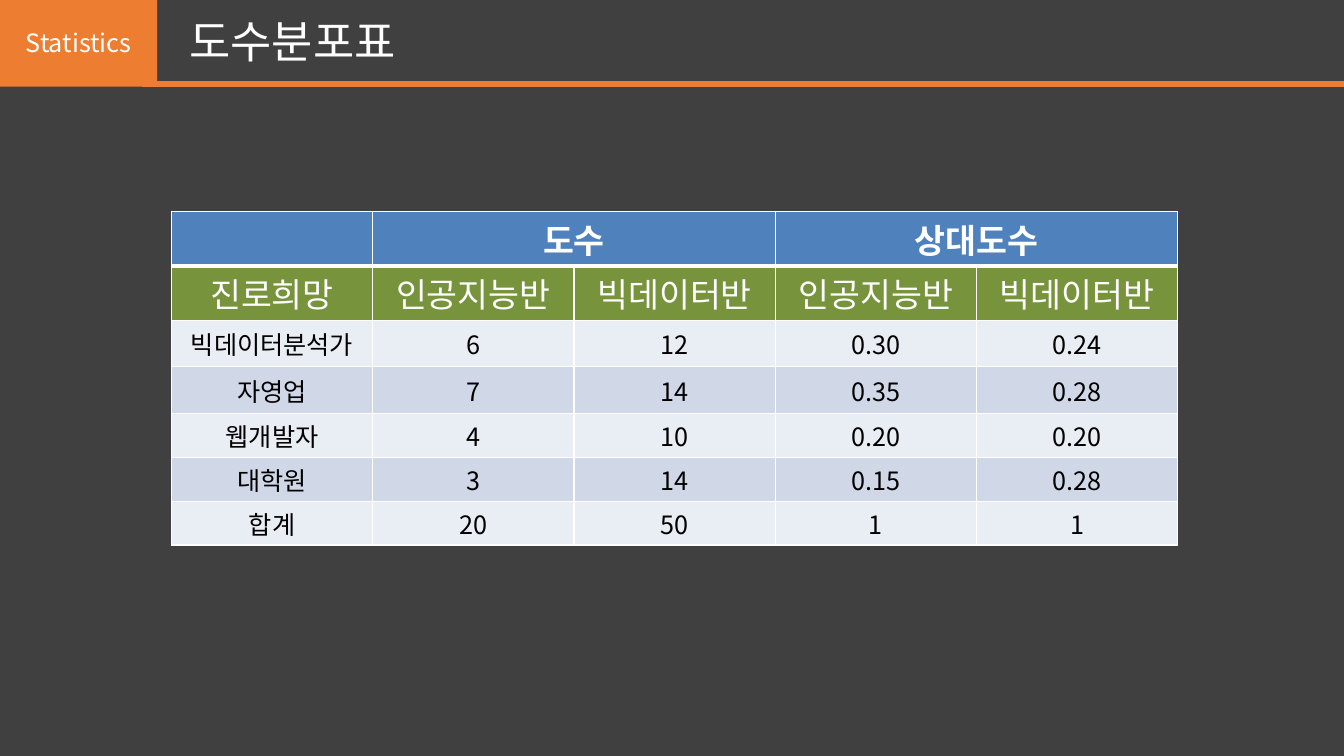
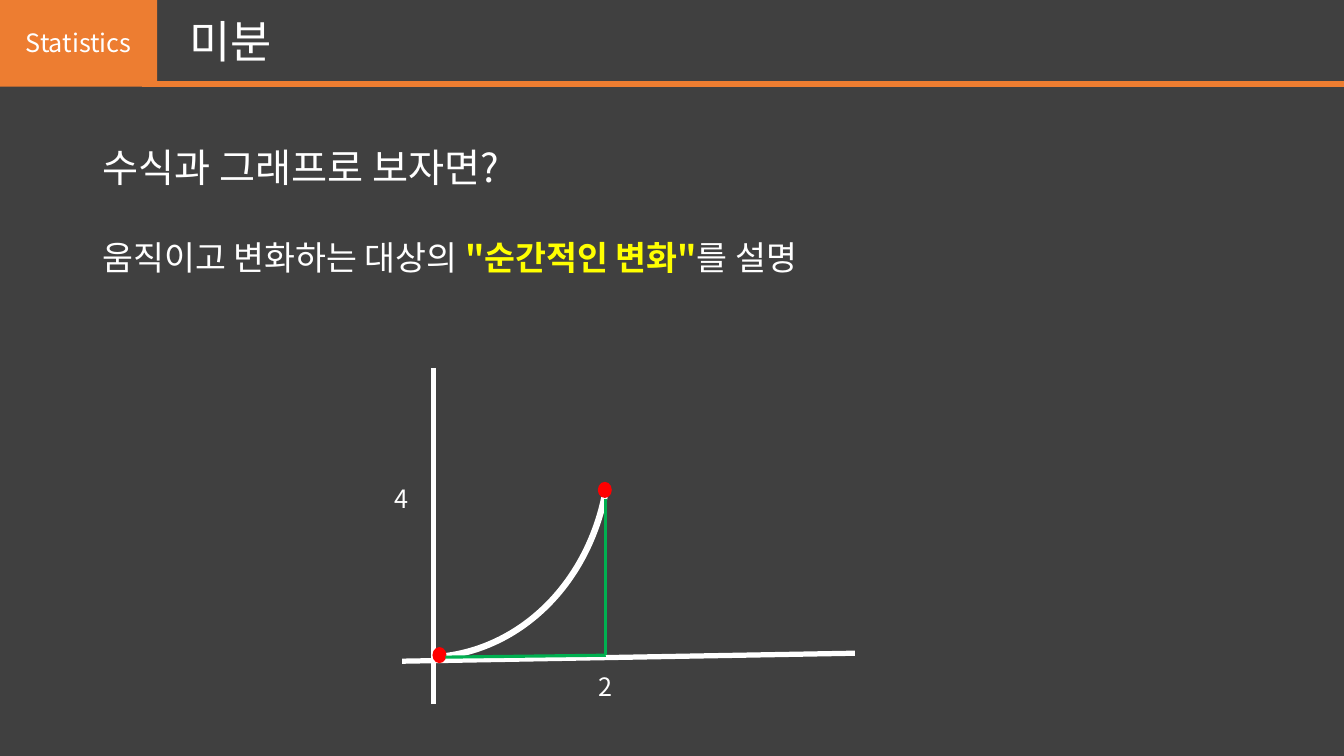
from dataclasses import dataclass

from pptx import Presentation
from pptx.dml.color import RGBColor
from pptx.enum.shapes import MSO_CONNECTOR, MSO_SHAPE
from pptx.enum.text import MSO_ANCHOR, MSO_AUTO_SIZE, PP_ALIGN
from pptx.oxml.ns import qn
from pptx.util import Pt
from lxml.etree import SubElement


@dataclass(frozen=True)
class Theme:
    font: str = "Noto Sans CJK KR"
    # Colours
    background: str = "404040"
    accent: str = "ED7D31"
    light: str = "FFFFFF"
    dark: str = "000000"
    emphasis: str = "FFFF00"
    point: str = "FF0000"
    slope: str = "00B050"
    header: str = "4F81BD"
    subheader: str = "77933C"
    bands: tuple = ("E9EDF4", "D0D8E8")
    # Type sizes
    title: int = 32
    lead: int = 28
    body: int = 24
    small: int = 18


def rgb(code):
    return RGBColor.from_string(code)


class Deck:
    def __init__(self, theme):
        self.theme = theme
        self.prs = Presentation()
        self.prs.slide_width, self.prs.slide_height = Pt(960), Pt(540)
        self.slide = None

    def new_slide(self, title):
        """Start a slide with the shared background, badge, rule and title."""
        t = self.theme
        self.slide = self.prs.slides.add_slide(self.prs.slide_layouts[6])
        fill = self.slide.background.fill
        fill.solid()
        fill.fore_color.rgb = rgb(t.background)
        badge = self.solid(MSO_SHAPE.RECTANGLE, 0, -0.7, 112.3, 62.6, t.accent)
        badge.text_frame.vertical_anchor = MSO_ANCHOR.MIDDLE
        self.set_text(badge.text_frame.paragraphs[0], "Statistics", t.small,
                      align=PP_ALIGN.CENTER)
        self.line((101.5, 59.8), (960, 59.8), t.accent, 4.5)
        heading = self.text_box(128.2, 6, 617.8, 46)
        self.set_text(heading.paragraphs[0], title, t.title)

    def set_text(self, paragraph, text, size, color=None, bold=False, align=None):
        """Fill a paragraph with a string, or with (text, colour, bold) runs."""
        runs = [text] if isinstance(text, str) else text
        for part in runs:
            run = paragraph.add_run()
            if isinstance(part, str):
                run.text = part
            else:
                run.text, run_color, run.font.bold = part
                run.font.color.rgb = rgb(run_color)
        if align is not None:
            paragraph.alignment = align
        font = paragraph.font
        font.size, font.bold, font.name = Pt(size), bold, self.theme.font
        font.color.rgb = rgb(color or self.theme.light)
        # East Asian text needs its own typeface entry
        defaults = paragraph._p.pPr.find(qn("a:defRPr"))
        SubElement(defaults, qn("a:ea"), typeface=self.theme.font)

    def text_box(self, left, top, width, height):
        """Add a wrapping text box and return its text frame."""
        frame = self.slide.shapes.add_textbox(
            Pt(left), Pt(top), Pt(width), Pt(height)).text_frame
        frame.word_wrap = True
        frame.auto_size = MSO_AUTO_SIZE.SHAPE_TO_FIT_TEXT
        return frame

    def label(self, text, left, top):
        frame = self.text_box(left, top, 57, 28.8)
        self.set_text(frame.paragraphs[0], text, self.theme.small,
                      align=PP_ALIGN.CENTER)

    def shape(self, kind, left, top, width, height):
        shape = self.slide.shapes.add_shape(kind, Pt(left), Pt(top), Pt(width), Pt(height))
        shape.shadow.inherit = False
        return shape

    def solid(self, kind, left, top, width, height, color):
        shape = self.shape(kind, left, top, width, height)
        shape.fill.solid()
        shape.fill.fore_color.rgb = rgb(color)
        shape.line.fill.background()
        return shape

    def arc(self, left, top, width, height, rotation, start, color, weight):
        arc = self.shape(MSO_SHAPE.ARC, left, top, width, height)
        arc.adjustments[0], arc.adjustments[1] = start, 0
        arc.rotation = rotation
        arc.fill.background()
        arc.line.color.rgb = rgb(color)
        arc.line.width = Pt(weight)

    def line(self, start, end, color, weight):
        line = self.slide.shapes.add_connector(
            MSO_CONNECTOR.STRAIGHT, *(Pt(v) for v in (*start, *end)))
        line.line.color.rgb = rgb(color)
        line.line.width = Pt(weight)
        SubElement(line._element.spPr, qn("a:effectLst"))

    def borders(self, cell, **weights):
        properties = cell._tc.get_or_add_tcPr()
        for side in "LRTB":
            edge = SubElement(properties, qn(f"a:ln{side}"),
                              w=str(Pt(weights.get(side, 1))))
            fill = SubElement(edge, qn("a:solidFill"))
            SubElement(fill, qn("a:srgbClr"), val=self.theme.light)

    def table(self, left, top, col_width, heights, rows):
        """Add a table with a header row, a subheader row and banded rows."""
        t = self.theme
        columns = len(rows[0])
        table = self.slide.shapes.add_table(
            len(rows), columns, Pt(left), Pt(top),
            Pt(col_width * columns), Pt(sum(heights))).table
        table.first_row = table.horz_banding = False
        for column in table.columns:
            column.width = Pt(col_width)
        for r, (height, values) in enumerate(zip(heights, rows)):
            table.rows[r].height = Pt(height)
            if r < 2:
                fill, size, color = (t.header, t.subheader)[r], t.body, t.light
            else:
                fill, size, color = t.bands[r % 2], t.small, t.dark
            edges = ({"B": 3}, {"T": 3})[r] if r < 2 else {}
            for c, value in enumerate(values):
                cell = table.cell(r, c)
                self.borders(cell, **edges)
                cell.fill.solid()
                cell.fill.fore_color.rgb = rgb(fill)
                cell.margin_top = cell.margin_bottom = 0
                cell.vertical_anchor = MSO_ANCHOR.MIDDLE
                if value:
                    self.set_text(cell.text_frame.paragraphs[0], value, size, color,
                                  bold=r == 0, align=PP_ALIGN.CENTER)
        return table


def frequency_slide(deck):
    deck.new_slide("도수분포표")
    classes = ["인공지능반", "빅데이터반"]
    rows = [
        ["", "도수", "", "상대도수", ""],
        ["진로희망", *classes, *classes],
        ["빅데이터분석가", "6", "12", "0.30", "0.24"],
        ["자영업", "7", "14", "0.35", "0.28"],
        ["웹개발자", "4", "10", "0.20", "0.20"],
        ["대학원", "3", "14", "0.15", "0.28"],
        ["합계", "20", "50", "1", "1"],
    ]
    heights = [38.9] * 2 + [33.3] * 2 + [31.3] * 3
    frequencies = deck.table(122.4, 151, 143.8, heights, rows)
    for first in (1, 3):
        frequencies.cell(0, first).merge(frequencies.cell(0, first + 1))


def derivative_slide(deck):
    t = deck.theme
    deck.new_slide("미분")

    # Question and explanation
    summary = deck.text_box(66.2, 98.6, 669, 104.4)
    deck.set_text(summary.paragraphs[0], "수식과 그래프로 보자면?", t.lead)
    explanation = summary.add_paragraph()
    explanation.space_before = Pt(33.6)
    deck.set_text(explanation, [
        "움직이고 변화하는 대상의 ",
        ("\"순간적인 변화\"", t.emphasis, True),
        "를 설명",
    ], t.body)

    # Axes and their labels
    deck.line((287.3, 472.3), (610.6, 466.6), t.light, 3.75)
    deck.line((309.6, 262.8), (309.6, 502.6), t.light, 3.75)
    deck.label("2", 403.9, 475.9)
    deck.label("4", 258.5, 342)

    # Curve with its end points
    deck.arc(145.4, 180, 308.2, 271.4, 84.2, 175.28, t.light, 4.5)
    for left, top in ((308.9, 462.2), (427, 344.2)):
        deck.solid(MSO_SHAPE.OVAL, left, top, 10, 11.5, t.point)

    # Run and rise
    corner = (432.7, 468)
    deck.line((318.2, 469.4), corner, t.slope, 2.25)
    deck.line(corner, (432.7, 356.4), t.slope, 2.25)


def main():
    deck = Deck(Theme())
    frequency_slide(deck)
    derivative_slide(deck)
    deck.prs.save("out.pptx")


if __name__ == "__main__":
    main()
